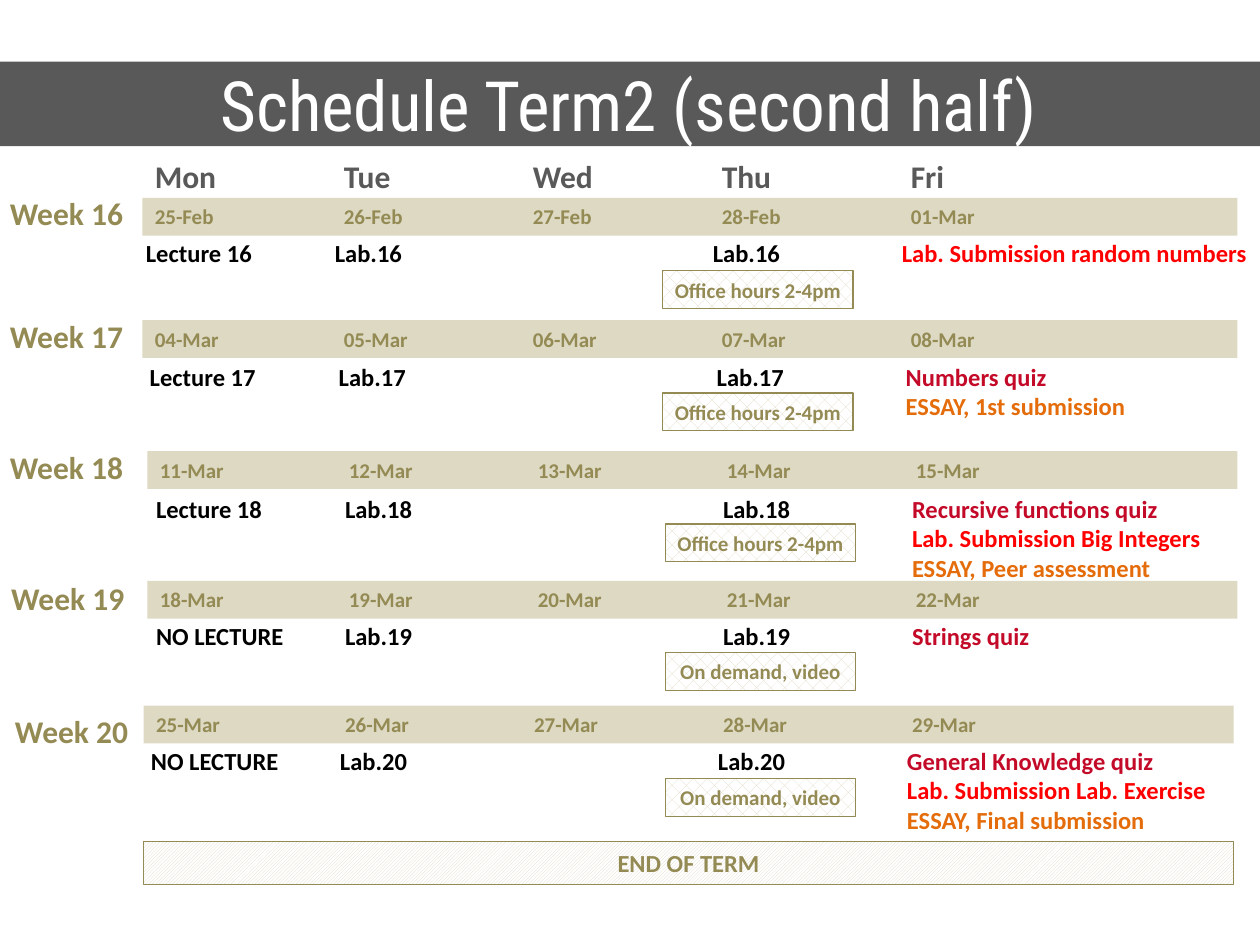
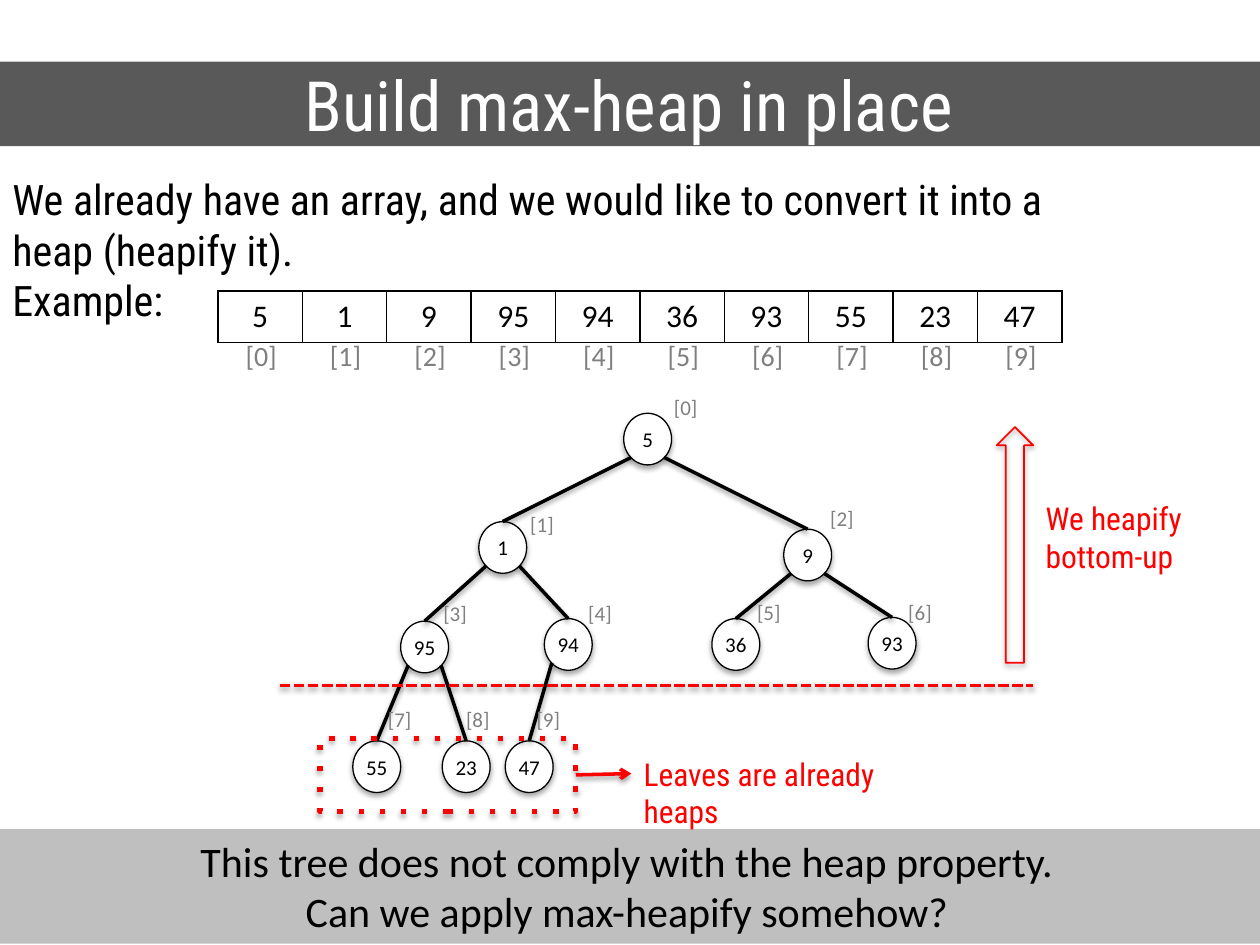
from dataclasses import dataclass
from typing import Optional

import pptx
import pptx.dml.color
import pptx.enum.dml
import pptx.enum.shapes
import pptx.enum.text
import pptx.oxml
import pptx.oxml.ns
import pptx.util
from lxml import etree

Inches = pptx.util.Inches
Pt = pptx.util.Pt
RGB = pptx.dml.color.RGBColor.from_string
qn = pptx.oxml.ns.qn
SHAPE = pptx.enum.shapes.MSO_SHAPE
PATTERN = pptx.enum.dml.MSO_PATTERN
ALIGN = pptx.enum.text.PP_ALIGN
ANCHOR = pptx.enum.text.MSO_ANCHOR


@dataclass(frozen=True)
class Theme:
    body_font: str = "Calibri"
    title_font: str = "Roboto Condensed"
    white: str = "FFFFFF"
    black: str = "000000"
    dark: str = "595959"
    grey: str = "7F7F7F"
    footer: str = "BFBFBF"
    sand: str = "DDD9C3"
    olive: str = "948A54"
    quiz: str = "C40A29"
    red: str = "FF0000"
    essay: str = "E46C0A"
    title_size: float = 39.6
    large: float = 24
    medium: float = 18
    index: float = 16
    entry: float = 14
    small: float = 12


THEME = Theme()


@dataclass(frozen=True)
class Span:
    text: str
    size: float
    color: str = THEME.black
    bold: bool = False
    font: str = THEME.body_font


@dataclass(frozen=True)
class Box:
    left: float
    top: float
    width: float
    height: float

    def lengths(self) -> list:
        return [Inches(n) for n in (self.left, self.top, self.width, self.height)]


@dataclass(frozen=True)
class Week:
    number: int
    dates: tuple[str, ...]
    lecture: str
    tasks: tuple[tuple[str, str], ...]
    support: str
    label: tuple[float, float]
    band: Box
    entries: tuple[float, float]
    support_at: tuple[float, float]


@dataclass(frozen=True)
class Node:
    value: int
    left: float
    top: float
    label: tuple[float, float]


# Shared drawing
def write(frame, paragraphs: list[list[Span]], align=ALIGN.LEFT, anchor=ANCHOR.TOP,
          wrap: bool = True, side: float = 0.1, tab: float = 0, tabs: int = 0) -> None:
    frame.word_wrap = wrap
    frame.vertical_anchor = anchor
    frame.margin_left = frame.margin_right = Inches(side)
    for number, spans in enumerate(paragraphs):
        para = frame.paragraphs[0] if number == 0 else frame.add_paragraph()
        para.alignment = align
        if tabs:
            stops = etree.SubElement(para._p.get_or_add_pPr(), qn("a:tabLst"))
            for stop in range(1, tabs + 1):
                etree.SubElement(stops, qn("a:tab"), pos=str(Inches(tab * stop)), algn="l")
        for span in spans:
            run = para.add_run()
            run.text = span.text
            run.font.name = span.font
            run.font.size = Pt(span.size)
            run.font.bold = span.bold
            run.font.color.rgb = RGB(span.color)


def add_text(slide, box: Box, paragraphs: list[list[Span]], **layout) -> None:
    write(slide.shapes.add_textbox(*box.lengths()).text_frame, paragraphs, **layout)


def add_block(slide, box: Box, kind=SHAPE.RECTANGLE, fill: Optional[str] = None,
              pattern=None, line: Optional[str] = None, width: float = 0.75):
    shape = slide.shapes.add_shape(kind, *box.lengths())
    shape.shadow.inherit = False
    if pattern is not None:
        shape.fill.patterned()
        shape.fill.pattern = pattern
        shape.fill.fore_color.rgb = RGB(THEME.sand)
        shape.fill.back_color.rgb = RGB(THEME.white)
    elif fill:
        shape.fill.solid()
        shape.fill.fore_color.rgb = RGB(fill)
    else:
        shape.fill.background()
    if line:
        shape.line.color.rgb = RGB(line)
        shape.line.width = Pt(width)
    else:
        shape.line.fill.background()
    return shape


def add_shadow(shape, alpha: int = 38, distance: float = 1.6) -> None:
    properties = shape._element.spPr
    effects = properties.find(qn("a:effectLst"))
    if effects is None:
        effects = etree.SubElement(properties, qn("a:effectLst"))
    shadow = etree.SubElement(effects, qn("a:outerShdw"), blurRad=str(Pt(3.1)),
                              dist=str(Pt(distance)), dir="5400000", rotWithShape="0")
    color = etree.SubElement(shadow, qn("a:srgbClr"), val=THEME.black)
    etree.SubElement(color, qn("a:alpha"), val=str(alpha * 1000))


def set_dash(shape, dash: str) -> None:
    etree.SubElement(shape.line._get_or_add_ln(), qn("a:prstDash"), val=dash)


def add_line(slide, start: tuple[float, float], end: tuple[float, float],
             color: str = THEME.black, dash: str = "", arrow: bool = False) -> None:
    line = slide.shapes.add_connector(pptx.enum.shapes.MSO_CONNECTOR.STRAIGHT,
                                      *(Inches(n) for n in start + end))
    line.line.color.rgb = RGB(color)
    line.line.width = Pt(2)
    if dash:
        set_dash(line, dash)
    if arrow:
        etree.SubElement(line.line._get_or_add_ln(), qn("a:tailEnd"), type="arrow")
    add_shadow(line)


def new_slide(deck, title: str):
    slide = deck.slides.add_slide(deck.slide_layouts[6])
    band = add_block(slide, Box(-0.02, 0.49, 10.02, 0.67), fill=THEME.dark)
    span = Span(title, THEME.title_size, THEME.white, font=THEME.title_font)
    write(band.text_frame, [[span]], ALIGN.CENTER, ANCHOR.MIDDLE)
    return slide


# Schedule
DAYS = ("Mon", "Tue", "Wed", "Thu", "Fri")
DAY_TABS = {"tab": 1.5, "tabs": len(DAYS) - 1}
OFFICE = "Office hours 2-4pm"
ON_DEMAND = "On demand, video"
WEEKS = (
    Week(16, ("25-Feb", "26-Feb", "27-Feb", "28-Feb", "01-Mar"), "Lecture 16",
         (("Lab. Submission random numbers", THEME.red),), OFFICE,
         (-0.02, 1.49), Box(1.13, 1.57, 8.69, 0.3), (1.06, 1.84), (5.26, 2.15)),
    Week(17, ("04-Mar", "05-Mar", "06-Mar", "07-Mar", "08-Mar"), "Lecture 17",
         (("Numbers quiz", THEME.quiz), ("ESSAY, 1st submission", THEME.essay)), OFFICE,
         (-0.02, 2.47), Box(1.13, 2.54, 8.69, 0.3), (1.09, 2.82), (5.26, 3.12)),
    Week(18, ("11-Mar", "12-Mar", "13-Mar", "14-Mar", "15-Mar"), "Lecture 18",
         (("Recursive functions quiz", THEME.quiz),
          ("Lab. Submission Big Integers", THEME.red),
          ("ESSAY, Peer assessment", THEME.essay)), OFFICE,
         (-0.02, 3.51), Box(1.17, 3.58, 8.65, 0.3), (1.14, 3.87), (5.28, 4.16)),
    Week(19, ("18-Mar", "19-Mar", "20-Mar", "21-Mar", "22-Mar"), "NO LECTURE",
         (("Strings quiz", THEME.quiz),), ON_DEMAND,
         (-0.01, 4.55), Box(1.17, 4.61, 8.65, 0.3), (1.14, 4.88), (5.28, 5.18)),
    Week(20, ("25-Mar", "26-Mar", "27-Mar", "28-Mar", "29-Mar"), "NO LECTURE",
         (("General Knowledge quiz", THEME.quiz),
          ("Lab. Submission Lab. Exercise", THEME.red),
          ("ESSAY, Final submission", THEME.essay)), ON_DEMAND,
         (0.02, 5.6), Box(1.14, 5.6, 8.65, 0.3), (1.1, 5.87), (5.28, 6.18)),
)


def add_week(slide, week: Week) -> None:
    label = Span(f"Week {week.number}", THEME.medium, THEME.olive, True)
    add_text(slide, Box(*week.label, 1.33, 0.4), [[label]])
    band = add_block(slide, week.band, fill=THEME.sand)
    dates = Span("\t".join(week.dates), THEME.small, THEME.olive, True)
    write(band.text_frame, [[dates]], **DAY_TABS)

    # Classes fill the first line; Friday tasks stack in the last column
    lab = f"Lab.{week.number}"
    classes = "\t".join((week.lecture, lab, "", lab, ""))
    lines = []
    for number, (task, color) in enumerate(week.tasks):
        lead = classes if number == 0 else "\t" * (len(DAYS) - 1)
        lines.append([Span(lead, THEME.entry, bold=True),
                      Span(task, THEME.entry, color, True)])
    add_text(slide, Box(*week.entries, 8.94, 0.1 + 0.24 * len(lines)), lines, **DAY_TABS)

    support = add_block(slide, Box(*week.support_at, 1.51, 0.3),
                        pattern=PATTERN.PERCENT_25, line=THEME.olive)
    write(support.text_frame, [[Span(week.support, THEME.small, THEME.olive, True)]],
          ALIGN.CENTER, side=0.04)


def build_schedule(deck) -> None:
    slide = new_slide(deck, "Schedule Term2 (second half)")
    days = Span("\t".join(DAYS), THEME.medium, THEME.dark, True)
    add_text(slide, Box(1.13, 1.2, 6.85, 0.4), [[days]], **DAY_TABS)
    for week in WEEKS:
        add_week(slide, week)
    end = add_block(slide, Box(1.14, 6.68, 8.65, 0.34),
                    pattern=PATTERN.LIGHT_UPWARD_DIAGONAL, line=THEME.olive)
    write(end.text_frame, [[Span("END OF TERM", THEME.entry, THEME.olive, True)]],
          ALIGN.CENTER)


# Heap
NODE_WIDTH, NODE_HEIGHT = 0.38, 0.41
CELL_WIDTH = 0.67
NODES = (
    Node(5, 4.95, 3.28, (5.25, 3.08)),
    Node(1, 3.8, 4.14, (4.11, 4.01)),
    Node(9, 6.22, 4.2, (6.49, 3.96)),
    Node(95, 3.18, 4.93, (3.42, 4.72)),
    Node(94, 4.32, 4.91, (4.57, 4.72)),
    Node(36, 5.65, 4.91, (5.91, 4.71)),
    Node(93, 6.89, 4.9, (7.11, 4.71)),
    Node(55, 2.8, 5.88, (2.98, 5.56)),
    Node(23, 3.51, 5.88, (3.6, 5.56)),
    Node(47, 4.01, 5.88, (4.16, 5.56)),
)


def add_array(slide) -> None:
    box = Box(1.73, 2.31, CELL_WIDTH * len(NODES), 0.41)
    table = slide.shapes.add_table(1, len(NODES), *box.lengths()).table
    table.first_row = table.horz_banding = False
    for column, node in enumerate(NODES):
        table.columns[column].width = Inches(CELL_WIDTH)
        cell = table.cell(0, column)
        write(cell.text_frame, [[Span(str(node.value), THEME.medium)]], ALIGN.CENTER)
        properties = cell._tc.get_or_add_tcPr()
        for side in ("a:lnL", "a:lnR", "a:lnT", "a:lnB"):
            border = etree.SubElement(properties, qn(side), w=str(Pt(1)))
            paint = etree.SubElement(border, qn("a:solidFill"))
            etree.SubElement(paint, qn("a:srgbClr"), val=THEME.black)
        cell.fill.background()
    indices = "\t".join(f"[{index}]" for index in range(len(NODES)))
    add_text(slide, Box(1.85, 2.64, 7.68, 0.37), [[Span(indices, THEME.index, THEME.grey)]],
             tab=CELL_WIDTH, tabs=len(NODES) - 1)


def add_tree(slide) -> None:
    for node in NODES:
        circle = add_block(slide, Box(node.left, node.top, NODE_WIDTH, NODE_HEIGHT),
                           SHAPE.OVAL, THEME.white, line=THEME.black)
        add_shadow(circle, 35, 1.8)
        write(circle.text_frame, [[Span(str(node.value), THEME.small)]],
              ALIGN.CENTER, ANCHOR.MIDDLE, side=0.04)
    for index, child in enumerate(NODES[1:], 1):
        parent = NODES[(index - 1) // 2]
        offset = 0.06 if index % 2 else NODE_WIDTH - 0.06
        add_line(slide, (parent.left + offset, parent.top + 0.35),
                 (child.left + NODE_WIDTH / 2, child.top))
    for index, node in enumerate(NODES):
        add_text(slide, Box(*node.label, 0.39, 0.3),
                 [[Span(f"[{index}]", THEME.small, THEME.grey)]], wrap=False)


def add_remark(slide, box: Box, text: str) -> None:
    add_text(slide, box, [[Span(text, THEME.medium, THEME.red, font=THEME.title_font)]])


def build_heap(deck) -> None:
    slide = new_slide(deck, "Build max-heap in place")
    intro = ("We already have an array, and we would like to convert it into a heap "
             "(heapify it).", "Example:")
    add_text(slide, Box(0, 1.33, 8.58, 0.91),
             [[Span(line, THEME.large, font=THEME.title_font)] for line in intro])
    add_array(slide)
    add_tree(slide)

    # Closing question
    footer = add_block(slide, Box(-0.05, 6.58, 10.05, 0.91), fill=THEME.footer)
    question = ("This tree does not comply with the heap property.",
                "Can we apply max-heapify somehow?")
    write(footer.text_frame, [[Span(line, THEME.large)] for line in question], ALIGN.CENTER)

    # Red remarks
    leaves = add_block(slide, Box(2.54, 5.86, 2.03, 0.58), line=THEME.red, width=3)
    set_dash(leaves, "dot")
    add_shadow(leaves)
    add_remark(slide, Box(5.01, 5.94, 2.2, 0.4), "Leaves are already heaps")
    add_line(slide, (4.57, 6.15), (5.01, 6.14), THEME.red, arrow=True)
    add_line(slide, (2.22, 5.44), (8.2, 5.44), THEME.red, dash="sysDash")
    upward = add_block(slide, Box(7.91, 3.39, 0.29, 1.87), SHAPE.UP_ARROW,
                       line=THEME.red, width=1)
    add_shadow(upward)
    add_remark(slide, Box(8.2, 3.91, 1.33, 0.71), "We heapify bottom-up")


def main() -> None:
    deck = pptx.Presentation()
    deck.slide_width, deck.slide_height = Inches(10), Inches(7.5)
    build_schedule(deck)
    build_heap(deck)
    deck.save("out.pptx")


if __name__ == "__main__":
    main()
